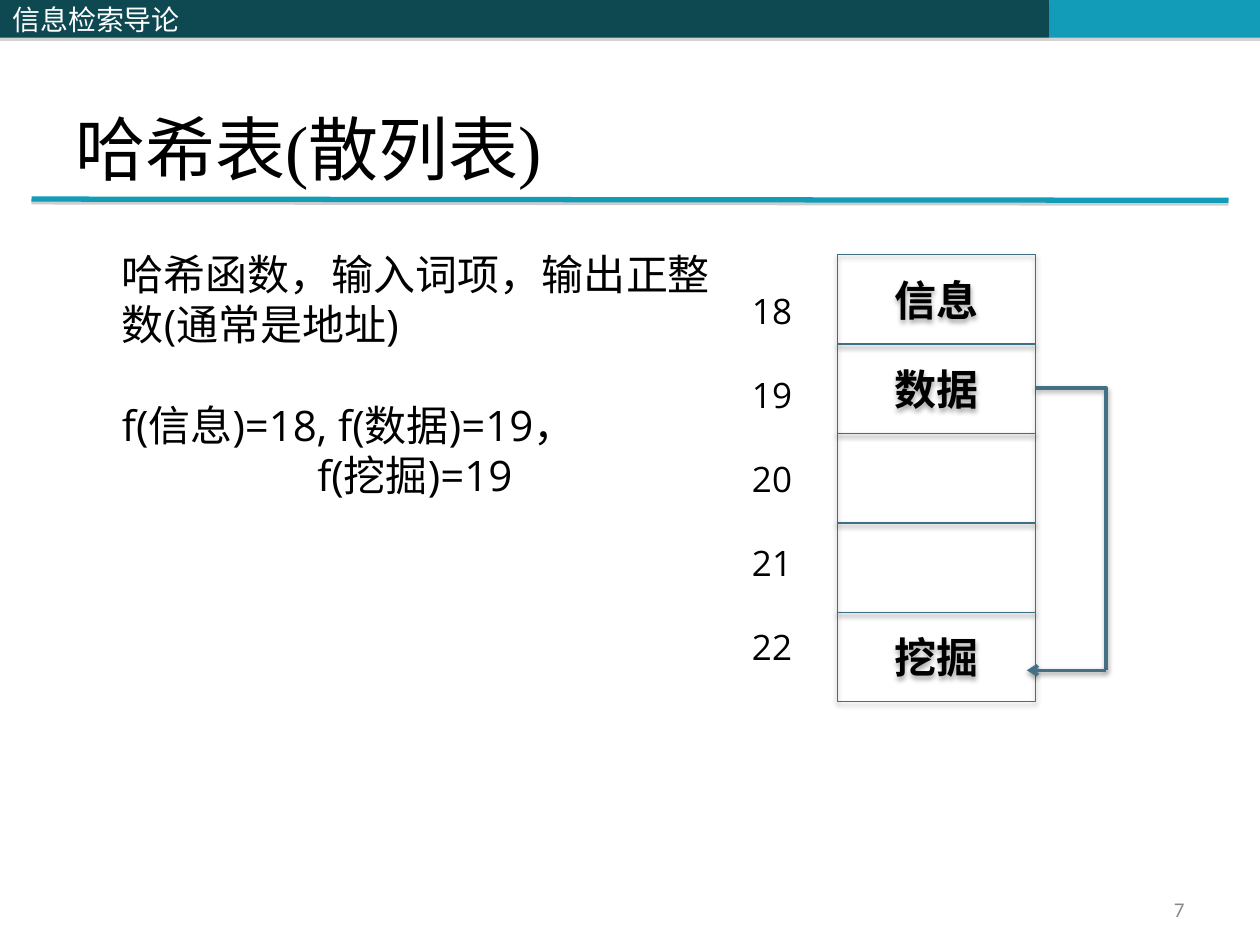
from dataclasses import dataclass

from lxml import etree
from pptx import Presentation
from pptx.dml.color import RGBColor
from pptx.enum.shapes import MSO_CONNECTOR, MSO_SHAPE
from pptx.enum.text import MSO_ANCHOR, PP_ALIGN
from pptx.oxml.ns import qn
from pptx.util import Inches, Pt

STRAIGHT, ELBOW = MSO_CONNECTOR.STRAIGHT, MSO_CONNECTOR.ELBOW
RECTANGLE = MSO_SHAPE.RECTANGLE
TOP, MIDDLE, BOTTOM = MSO_ANCHOR.TOP, MSO_ANCHOR.MIDDLE, MSO_ANCHOR.BOTTOM
LEFT, CENTER, RIGHT = PP_ALIGN.LEFT, PP_ALIGN.CENTER, PP_ALIGN.RIGHT

COLORS = {
    "dark": "0E4851",
    "accent": "139CB7",
    "cell": "406E84",
    "link": "437085",
    "black": "000000",
    "white": "FFFFFF",
    "gray": "808080",
    "number": "898989",
}


@dataclass(frozen=True)
class Shadow:
    color: str
    alpha: int
    blur: float
    distance: float


@dataclass(frozen=True)
class Style:
    font: str
    size: float
    color: str = "black"
    bold: bool = False
    align: int = LEFT
    anchor: int = TOP


@dataclass(frozen=True)
class Line:
    text: str
    before: float = 0
    indent: float = 0


@dataclass(frozen=True)
class Bar:
    left: float
    width: float
    color: str
    label: str = ""


BAR_SHADOW = Shadow("gray", 35, 0, 1.8)
RULE_SHADOW = Shadow("gray", 38, 0, 1.6)
CELL_SHADOW = Shadow("black", 35, 3.1, 1.8)
LINK_SHADOW = Shadow("black", 38, 3.1, 1.6)

HEADER = Style("Noto Sans CJK SC", 16, "white", anchor=MIDDLE)
TITLE = Style("Times New Roman", 40, anchor=BOTTOM)
PAGE = Style("Calibri", 12, "number", align=RIGHT, anchor=MIDDLE)
TERM = Style("Calibri", 24, bold=True, align=CENTER, anchor=MIDDLE)
BODY = Style("Open Sans", 24)
ADDRESS = Style("Open Sans", 20)

BARS = [
    Bar(4.08, 4.25, "dark"),
    Bar(8.33, 1.67, "accent"),
    Bar(0, 4.08, "dark", "信息检索导论"),
]
TERMS = ["信息", "数据", "", "", "挖掘"]
FIRST_ADDRESS = 18
CELL_LEFT, CELL_TOP, CELL_WIDTH, CELL_HEIGHT = 6.65, 2.02, 1.57, 0.71
LINK_X, LINK_START_Y, LINK_END_Y = 8.78, 3.08, 5.32
BODY_PITCH, ADDRESS_PITCH = 28.8, 24


def rgb(name: str) -> RGBColor:
    return RGBColor.from_string(COLORS[name])


def set_shadow(shape, shadow: Shadow) -> None:
    effects = etree.SubElement(shape._element.spPr, qn("a:effectLst"))
    outer = etree.SubElement(
        effects, qn("a:outerShdw"), blurRad=str(Pt(shadow.blur)),
        dist=str(Pt(shadow.distance)), dir="5400000", rotWithShape="0")
    color = etree.SubElement(outer, qn("a:srgbClr"), val=COLORS[shadow.color])
    etree.SubElement(color, qn("a:alpha"), val=str(shadow.alpha * 1000))


def write(shape, lines: list[Line], style: Style, pitch: float = 0) -> None:
    frame = shape.text_frame
    frame.word_wrap = True
    frame.vertical_anchor = style.anchor
    for index, line in enumerate(lines):
        paragraph = frame.add_paragraph() if index else frame.paragraphs[0]
        paragraph.text = line.text
        paragraph.alignment = style.align
        paragraph.font.name = style.font
        paragraph.font.size = Pt(style.size)
        paragraph.font.bold = style.bold
        paragraph.font.color.rgb = rgb(style.color)
        if pitch:
            paragraph.line_spacing = Pt(pitch)
        if line.before:
            paragraph.space_before = Pt(line.before)
        if line.indent:
            paragraph._p.get_or_add_pPr().set("marL", str(Inches(line.indent)))


def add_text(slide, left: float, top: float, width: float, height: float,
             lines: list[Line], style: Style, pitch: float = 0) -> None:
    box = slide.shapes.add_textbox(
        Inches(left), Inches(top), Inches(width), Inches(height))
    write(box, lines, style, pitch)


def add_bar(slide, bar: Bar) -> None:
    shape = slide.shapes.add_shape(
        RECTANGLE, Inches(bar.left), 0, Inches(bar.width), Inches(0.3))
    shape.fill.solid()
    shape.fill.fore_color.rgb = rgb(bar.color)
    shape.line.fill.background()
    set_shadow(shape, BAR_SHADOW)
    if bar.label:
        write(shape, [Line(bar.label)], HEADER)


def add_cell(slide, row: int, term: str) -> None:
    cell = slide.shapes.add_shape(
        RECTANGLE, Inches(CELL_LEFT), Inches(CELL_TOP + row * CELL_HEIGHT),
        Inches(CELL_WIDTH), Inches(CELL_HEIGHT))
    cell.fill.background()
    cell.line.color.rgb = rgb("cell")
    cell.line.width = Pt(0.75)
    set_shadow(cell, CELL_SHADOW)
    if term:
        write(cell, [Line(term)], TERM)


def add_line(slide, kind: int, start: tuple[float, float],
             end: tuple[float, float], color: str, width: float, shadow: Shadow):
    line = slide.shapes.add_connector(
        kind, Inches(start[0]), Inches(start[1]), Inches(end[0]), Inches(end[1]))
    line.line.color.rgb = rgb(color)
    line.line.width = Pt(width)
    set_shadow(line, shadow)
    return line


def main() -> None:
    deck = Presentation()
    deck.slide_width, deck.slide_height = Inches(10), Inches(7.5)
    slide = deck.slides.add_slide(deck.slide_layouts[6])

    for bar in BARS:
        add_bar(slide, bar)
    add_line(slide, STRAIGHT, (0.25, 1.58), (9.75, 1.59), "accent", 3, RULE_SHADOW)
    add_text(slide, 0.5, 0.3, 9, 1.25, [Line("哈希表(散列表)")], TITLE)
    add_text(slide, 7.17, 7.08, 2.33, 0.27, [Line("7")], PAGE)

    for row, term in enumerate(TERMS):
        add_cell(slide, row, term)

    explanation = [
        Line("哈希函数，输入词项，输出正整数(通常是地址)"),
        Line("f(信息)=18, f(数据)=19，", before=BODY_PITCH),
        Line("f(挖掘)=19", indent=1.55),
    ]
    add_text(slide, 0.87, 1.92, 4.96, 2.93, explanation, BODY, BODY_PITCH)
    addresses = [Line(str(FIRST_ADDRESS + row), before=ADDRESS_PITCH if row else 0)
                 for row in range(len(TERMS))]
    add_text(slide, 5.87, 2.25, 0.87, 3.2, addresses, ADDRESS, ADDRESS_PITCH)

    corner = (LINK_X, LINK_END_Y)
    bend = add_line(slide, ELBOW, (CELL_LEFT + CELL_WIDTH, LINK_START_Y), corner,
                    "link", 2, LINK_SHADOW)
    bend._element.spPr.find(qn("a:prstGeom")).set("prst", "bentConnector2")
    arrow = add_line(slide, STRAIGHT, corner, (8.15, LINK_END_Y),
                     "link", 2, LINK_SHADOW)
    etree.SubElement(arrow.line._get_or_add_ln(), qn("a:tailEnd"), type="arrow")

    deck.save("out.pptx")


if __name__ == "__main__":
    main()
